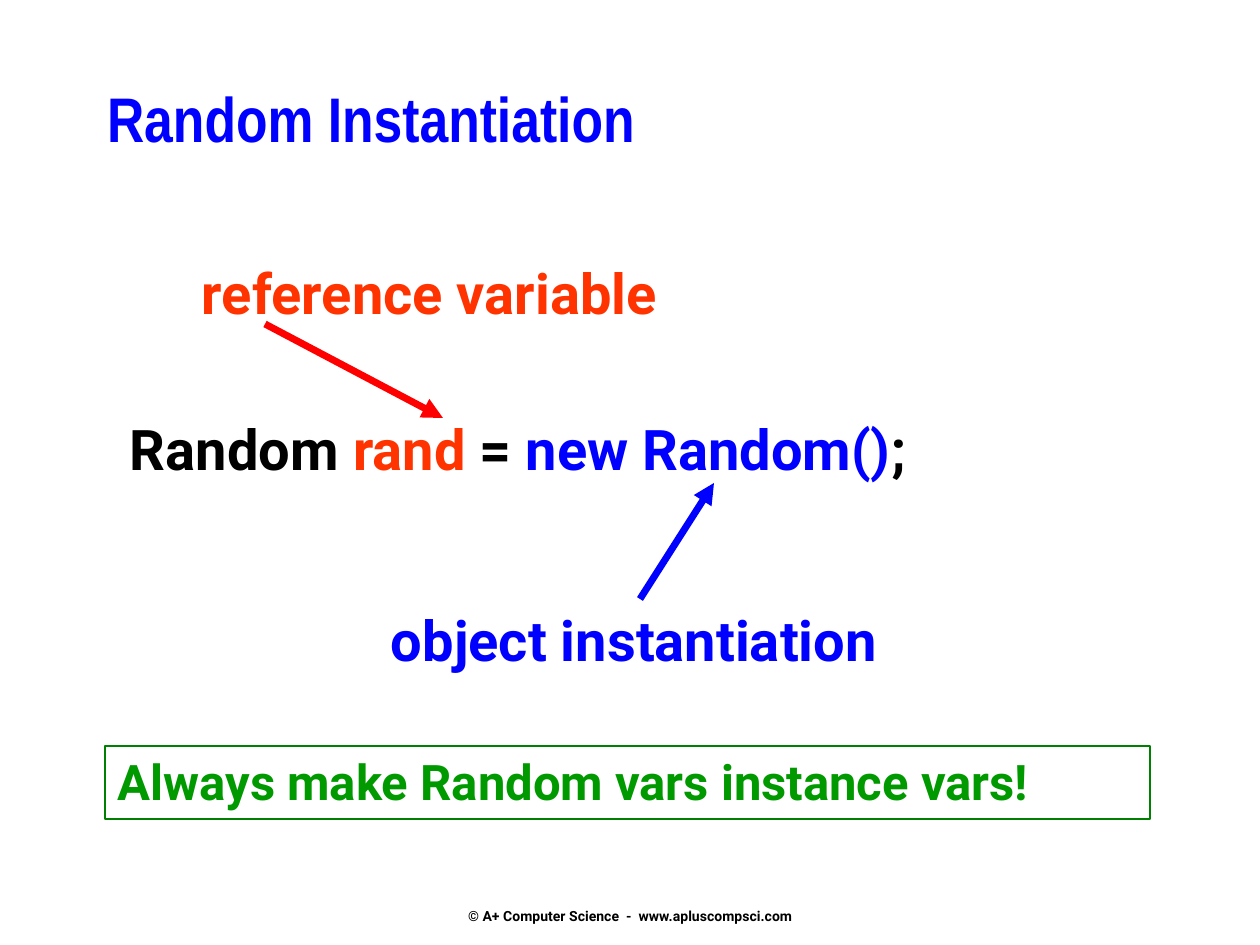
from pptx import Presentation
from pptx.dml.color import RGBColor
from pptx.enum.shapes import MSO_CONNECTOR as CONN, MSO_SHAPE as SHAPE
from pptx.enum.text import MSO_ANCHOR as ANCHOR, PP_ALIGN as ALIGN
from pptx.oxml.ns import qn
from pptx.util import Pt
from lxml import etree

EMU_PER_PX = 914400 / 126
BLACK, RED, ORANGE, BLUE = "000000", "FF0000", "FF3300", "0000FF"
GREEN, DARK_GREEN, WHITE = "009900", "008000", "FFFFFF"


def px(*lengths):
    return [round(n * EMU_PER_PX) for n in lengths]


def color(hex_string):
    return RGBColor.from_string(hex_string)


class SlideBuilder:
    font = "Roboto"
    size = 32

    def __init__(self, slide):
        self.s = slide

    def fill_text(self, shape, runs, size=None, font=None, align=ALIGN.LEFT, **frame):
        tf = shape.text_frame
        margins = dict(zip(("margin_left", "margin_top", "margin_right", "margin_bottom"),
                           px(13, 6, 13, 6)))
        settings = {"word_wrap": True, "vertical_anchor": ANCHOR.TOP, **margins, **frame}
        for name, value in settings.items():
            setattr(tf, name, value)
        p = tf.paragraphs[0]
        p.alignment = align
        for text, hex_string in runs:
            r = p.add_run()
            r.text = text
            style = {"name": font or self.font, "size": Pt(size or self.size), "bold": True}
            for name, value in style.items():
                setattr(r.font, name, value)
            r.font.color.rgb = color(hex_string)

    def text(self, box, runs, **style):
        self.fill_text(self.s.shapes.add_textbox(*px(*box)), runs, **style)

    def panel(self, box, runs, fill=None, line=None, **style):
        sp = self.s.shapes.add_shape(SHAPE.RECTANGLE, *px(*box))
        sp.shadow.inherit = False
        if fill:
            sp.fill.solid()
            sp.fill.fore_color.rgb = color(fill)
        else:
            sp.fill.background()
        if line:
            sp.line.color.rgb = color(line)
            sp.line.width = Pt(1)
        else:
            sp.line.fill.background()
        self.fill_text(sp, runs, **style)

    def arrow(self, start, end, hex_string):
        c = self.s.shapes.add_connector(CONN.STRAIGHT, *px(*start, *end))
        c.line.color.rgb = color(hex_string)
        c.line.width = Pt(4)
        props = c._element.spPr
        etree.SubElement(props.find(qn("a:ln")), qn("a:tailEnd"), type="triangle")
        etree.SubElement(props, qn("a:effectLst"))


def main():
    prs = Presentation()
    prs.slide_width, prs.slide_height = px(1260, 945)
    b = SlideBuilder(prs.slides.add_slide(prs.slide_layouts[6]))

    # Footer
    b.text((431, 861, 399, 63), [("© A+ Computer Science  -  www.apluscompsci.com", BLACK)],
           size=8, align=ALIGN.CENTER, vertical_anchor=ANCHOR.BOTTOM, margin_bottom=0)

    # Code line
    b.panel((117, 408, 932, 79),
            [("Random ", BLACK), ("rand", ORANGE), (" = ", BLACK),
             ("new Random()", BLUE), (";", BLACK)], fill=WHITE)

    # Title
    b.text((94, 73, 1040, 105), [("Random Instantiation", BLUE)], size=36, font="Arial Narrow")

    # Labels with arrows to the code
    b.arrow((265, 324), (443, 418), RED)
    b.text((189, 252, 537, 79), [("reference variable", ORANGE)])
    b.arrow((640, 599), (714, 483), BLUE)
    b.text((378, 599, 576, 79), [("object instantiation", BLUE)])

    # Advice box
    b.panel((105, 746, 1045, 73), [("Always make Random vars instance vars!", GREEN)],
            line=DARK_GREEN, size=28)

    prs.save("out.pptx")


if __name__ == "__main__":
    main()
